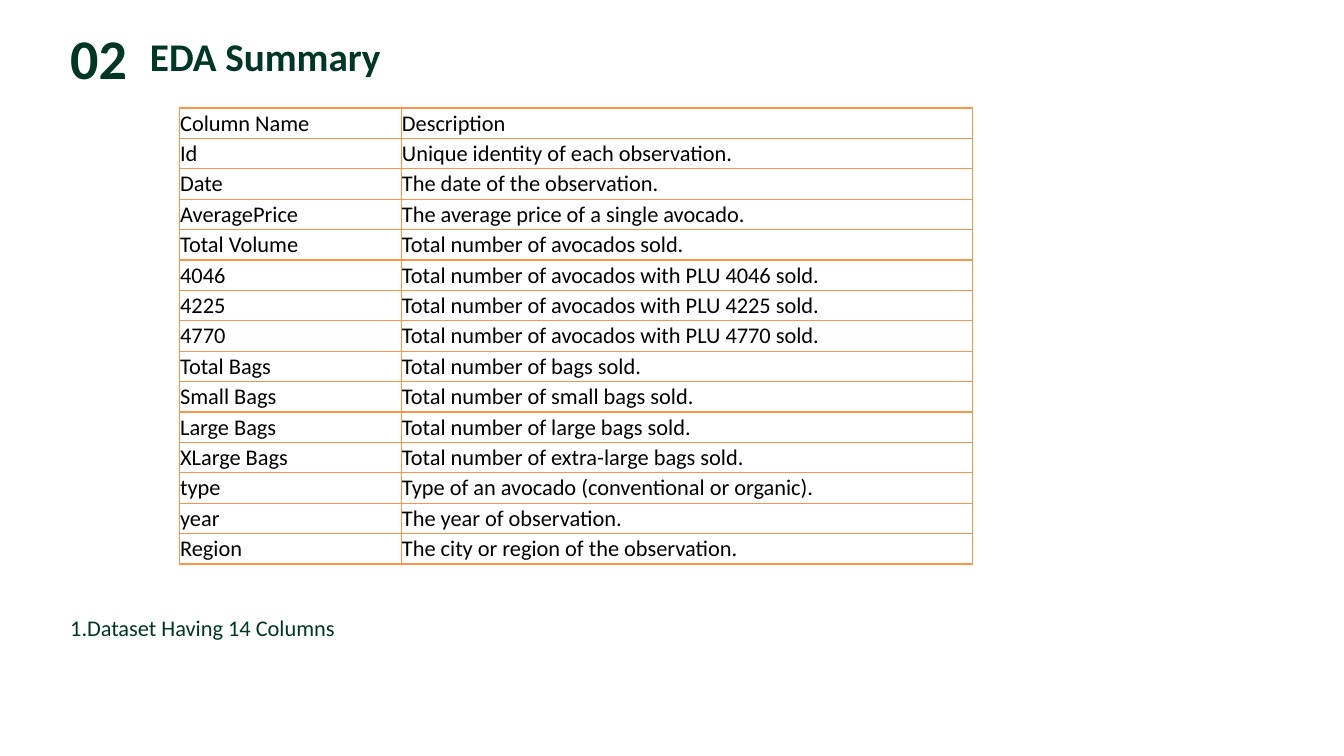
from lxml import etree
from pptx import Presentation
from pptx import util as u
from pptx.dml import color
from pptx.enum import text
from pptx.oxml import ns

COLUMNS = [
    ("Column Name", "Description"),
    ("Id", "Unique identity of each observation."),
    ("Date", "The date of the observation."),
    ("AveragePrice", "The average price of a single avocado."),
    ("Total Volume", "Total number of avocados sold."),
    ("4046", "Total number of avocados with PLU 4046 sold."),
    ("4225", "Total number of avocados with PLU 4225 sold."),
    ("4770", "Total number of avocados with PLU 4770 sold."),
    ("Total Bags", "Total number of bags sold."),
    ("Small Bags", "Total number of small bags sold."),
    ("Large Bags", "Total number of large bags sold."),
    ("XLarge Bags", "Total number of extra-large bags sold."),
    ("type", "Type of an avocado (conventional or organic)."),
    ("year", "The year of observation."),
    ("Region", "The city or region of the observation."),
]


def rgb(value):
    return color.RGBColor.from_string(value)


def write(paragraph, content, size=16, fill="000000", bold=False, font="Calibri"):
    run = paragraph.add_run()
    run.text = content
    run.font.name = font
    run.font.size = u.Pt(size)
    run.font.bold = bold
    run.font.color.rgb = rgb(fill)


class SlideBuilder:
    green = "003626"
    orange = "F79646"

    def __init__(self, slide):
        self.slide = slide

    def text_box(self, left, top, width, height, content, numbered=False, **style):
        shape = self.slide.shapes.add_textbox(
            u.Cm(left), u.Cm(top), u.Cm(width), u.Cm(height)
        )
        frame = shape.text_frame
        frame.word_wrap = True
        frame.auto_size = text.MSO_AUTO_SIZE.SHAPE_TO_FIT_TEXT
        paragraph = frame.paragraphs[0]
        if numbered:
            self.number(paragraph)
        write(paragraph, content, fill=self.green, **style)

    def number(self, paragraph):
        paragraph.line_spacing = 1.5
        properties = paragraph._p.get_or_add_pPr()
        properties.set("marL", "0")
        properties.set("indent", str(-u.Cm(0.64)))
        etree.SubElement(properties, ns.qn("a:buFont"), typeface="+mj-lt")
        etree.SubElement(properties, ns.qn("a:buAutoNum"), type="arabicPeriod")

    def table(self, left, top, widths, height, rows):
        table = self.slide.shapes.add_table(
            len(rows), len(widths), u.Cm(left), u.Cm(top),
            u.Cm(sum(widths)), u.Cm(height),
        ).table
        table.first_row = table.horz_banding = False
        for column, width in zip(table.columns, widths):
            column.width = u.Cm(width)
        for row, contents in zip(table.rows, rows):
            row.height = u.Cm(height / len(rows))
            for cell, content in zip(row.cells, contents):
                self.cell(cell, content)

    def cell(self, cell, content):
        cell.margin_left = cell.margin_right = cell.margin_top = u.Cm(0.02)
        cell.margin_bottom = 0
        cell.vertical_anchor = text.MSO_ANCHOR.MIDDLE
        properties = cell._tc.get_or_add_tcPr()
        for side in ("lnL", "lnR", "lnT", "lnB"):
            line = etree.SubElement(properties, ns.qn(f"a:{side}"), w=str(u.Pt(1)))
            solid = etree.SubElement(line, ns.qn("a:solidFill"))
            etree.SubElement(solid, ns.qn("a:srgbClr"), val=self.orange)
        cell.fill.background()
        write(cell.text_frame.paragraphs[0], content)


def main():
    presentation = Presentation()
    presentation.slide_width = u.Cm(33.87)
    presentation.slide_height = u.Cm(19.05)
    builder = SlideBuilder(presentation.slides.add_slide(presentation.slide_layouts[6]))
    builder.text_box(3.53, 0.69, 22, 1.45, "EDA Summary", size=28, bold=True)
    builder.text_box(1.52, 0.46, 2.59, 1.96, "02", size=40, bold=True)
    builder.text_box(1.52, 15.01, 23.01, 3.23, "Dataset Having 14 Columns", numbered=True)
    builder.table(4.52, 2.72, [5.59, 14.4], 11.5, COLUMNS)
    presentation.save("out.pptx")


if __name__ == "__main__":
    main()
